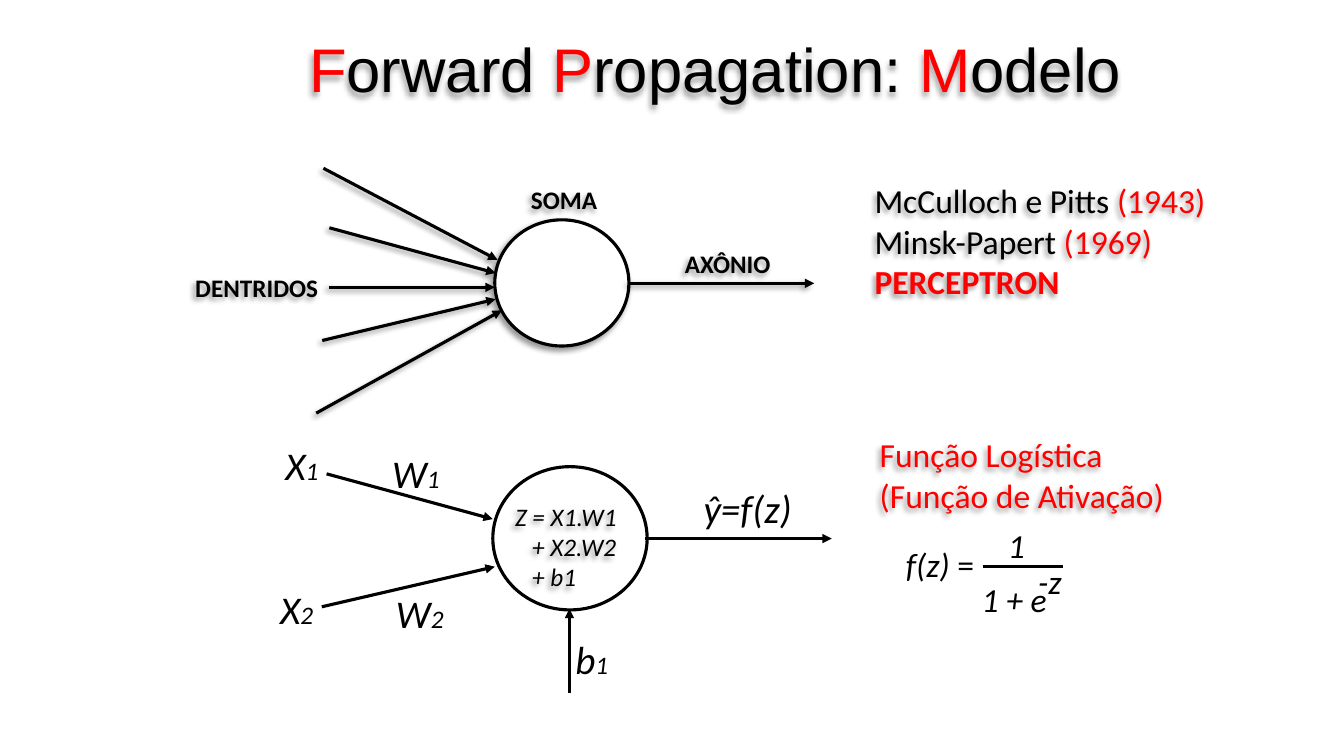
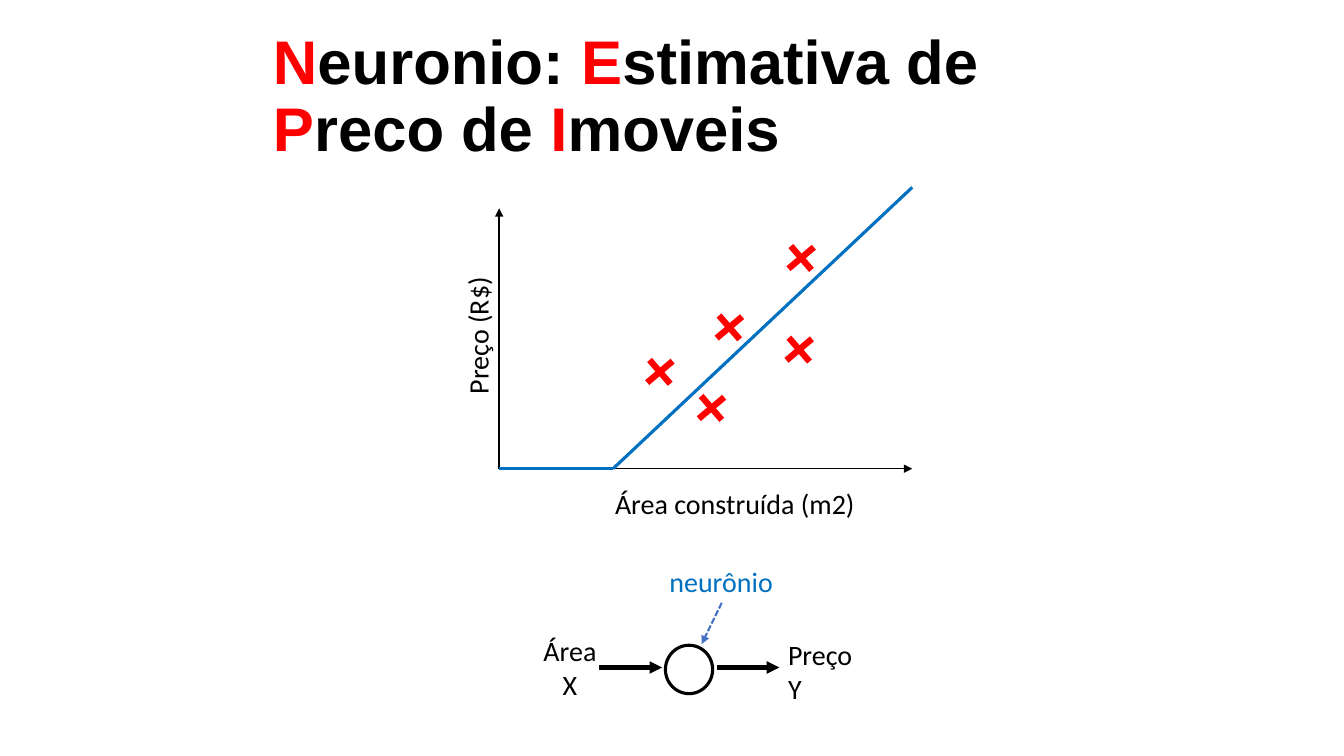
from itertools import groupby

from lxml import etree
from pptx import Presentation
from pptx.dml.color import RGBColor
from pptx.enum.dml import MSO_LINE
from pptx.enum.shapes import MSO_CONNECTOR, MSO_SHAPE
from pptx.enum.text import MSO_ANCHOR, PP_ALIGN
from pptx.oxml.ns import qn
from pptx.util import Cm, Pt

BLACK = RGBColor(0x00, 0x00, 0x00)
WHITE = RGBColor(0xFF, 0xFF, 0xFF)
RED = RGBColor(0xFF, 0x00, 0x00)
BLUE = RGBColor(0x00, 0x70, 0xC0)
POINTER_BLUE = RGBColor(0x44, 0x72, 0xC4)
TITLE_FONT, BODY_FONT = "Arial", "Calibri"
STRAIGHT, OVAL = MSO_CONNECTOR.STRAIGHT, MSO_SHAPE.OVAL
MIDDLE, CENTER, LEFT = MSO_ANCHOR.MIDDLE, PP_ALIGN.CENTER, PP_ALIGN.LEFT
DASH = MSO_LINE.SQUARE_DOT


def set_effects(shape, shadow):
    """Give a shape a soft shadow, or an empty effect list."""
    effects = etree.SubElement(shape._element.spPr, qn("a:effectLst"))
    if shadow:
        outer = etree.SubElement(effects, qn("a:outerShdw"), blurRad=str(Pt(4)),
                                 dist=str(Pt(3)), dir=str(135 * 60000),
                                 algn="tr", rotWithShape="0")
        color = etree.SubElement(outer, qn("a:srgbClr"), val=str(BLACK))
        etree.SubElement(color, qn("a:alpha"), val="40000")


def style(r, size, color=BLACK, bold=False, italic=False, font=BODY_FONT):
    """Format one run."""
    r.font.name, r.font.size = font, Pt(size)
    r.font.bold, r.font.italic = bold, italic
    r.font.color.rgb = color


def add_run(p, text, size, **look):
    """Append a formatted run to a paragraph."""
    r = p.add_run()
    r.text = text
    style(r, size, **look)


def add_text(s, x, y, w, h, text, size, align=LEFT, shadow=False, **look):
    """Add a text box, one paragraph per line, and return it."""
    tb = s.shapes.add_textbox(Cm(x), Cm(y), Cm(w), Cm(h))
    set_effects(tb, shadow)
    tf = tb.text_frame
    tf.word_wrap = False
    tf.text = text
    for p in tf.paragraphs:
        p.alignment = align
        for r in p.runs:
            style(r, size, **look)
    return tb


def add_line(s, x1, y1, x2, y2, width=2.25, color=BLACK, arrow=True,
             shadow=False, dash=None):
    """Add a straight line, with an arrowhead at its end by default."""
    line = s.shapes.add_connector(STRAIGHT, Cm(x1), Cm(y1), Cm(x2), Cm(y2))
    line.line.width = Pt(width)
    line.line.color.rgb = color
    if dash:
        line.line.dash_style = dash
    if arrow:
        etree.SubElement(line.line._get_or_add_ln(), qn("a:tailEnd"), type="triangle")
    set_effects(line, shadow)


def add_circle(s, x, y, w, h, shadow=False):
    """Add the outlined body of a neuron."""
    sp = s.shapes.add_shape(OVAL, Cm(x), Cm(y), Cm(w), Cm(h))
    sp.fill.solid()
    sp.fill.fore_color.rgb = WHITE
    sp.line.color.rgb = BLACK
    sp.line.width = Pt(2.25)
    set_effects(sp, shadow)


def add_title(s, x, y, w, h, text, bold=False, shadow=False):
    """Add a title whose capital letters are red."""
    tb = s.shapes.add_textbox(Cm(x), Cm(y), Cm(w), Cm(h))
    set_effects(tb, shadow)
    tf = tb.text_frame
    tf.word_wrap = True
    tf.vertical_anchor = MIDDLE
    for i, row in enumerate(text.split("\n")):
        p = tf.add_paragraph() if i else tf.paragraphs[0]
        p.line_spacing = 0.9
        for capital, letters in groupby(row, str.isupper):
            add_run(p, "".join(letters), 44, color=RED if capital else BLACK,
                    bold=bold, font=TITLE_FONT)


def biological_neuron(s, x, y):
    """Draw dendrites, soma and axon from a top-left corner."""
    add_circle(s, x + 7.8, y + 1.3, 3.38, 3.18, shadow=True)
    for x1, y1, x2, y2 in ((3.48, 0, 7.87, 2.31), (3.63, 1.5, 7.82, 2.64),
                           (3.61, 3, 7.8, 3), (3.45, 4.34, 7.82, 3.3),
                           (3.3, 6.17, 7.98, 3.58), (11.18, 2.9, 15.85, 2.9)):
        add_line(s, x + x1, y + y1, x + x2, y + y2, shadow=True)
    for dx, dy, w, label in ((0, 2.49, 3.63, "DENTRIDOS"),
                             (8.46, 0.28, 2.18, "SOMA"),
                             (12.34, 1.9, 2.69, "AXÔNIO")):
        add_text(s, x + dx, y + dy, w, 1.02, label, 18, bold=True, shadow=True)


def artificial_neuron(s, x, y):
    """Draw the weighted inputs, sum, bias and output from a top-left corner."""
    add_circle(s, x + 5.61, y + 0.76, 3.89, 3.61)
    for x1, y1, x2, y2 in ((1.42, 0.94, 5.61, 2.08), (1.3, 4.29, 5.66, 3.28),
                           (9.45, 2.57, 14.15, 2.57), (7.54, 6.45, 7.54, 4.34)):
        add_line(s, x + x1, y + y1, x + x2, y + y2)
    for dx, dy, w, symbol, index in ((0.13, 0, 1.4, "X", "1"),
                                     (0, 3.63, 1.35, "X", "2"),
                                     (2.82, 0.2, 1.73, "W", "1"),
                                     (2.92, 3.73, 1.73, "W", "2"),
                                     (7.44, 4.88, 1.37, "b", "1")):
        tb = add_text(s, x + dx, y + dy, w, 1.45, symbol, 28, italic=True)
        add_run(tb.text_frame.paragraphs[0], index, 18, italic=True)
    add_text(s, x + 10.67, y + 1.09, 2.77, 1.45, "ŷ=f(z)", 28, italic=True)
    tb = add_text(s, x + 5.92, y + 1.5, 3.18, 2.57, "Z = X1.W1\n+ X2.W2\n+ b1", 18,
                  italic=True, shadow=True)
    for p in tb.text_frame.paragraphs[1:]:
        p._p.get_or_add_pPr().set("marL", str(Cm(0.43)))


def logistic_formula(s, x, y):
    """Set the logistic function as a fraction from a top-left corner."""
    tb = add_text(s, x, y + 0.46, 2.44, 1.27, "f(z) ", 24, italic=True)
    add_run(tb.text_frame.paragraphs[0], "=", 24)
    for dx, dy, w, part in ((2.57, 0, 0.94, "1"), (1.91, 1.35, 2.18, "1 + e"),
                            (3.33, 0.89, 1.12, "-z")):
        add_text(s, x + dx, y + dy, w, 1.27, part, 24, italic=True)
    add_line(s, x + 2.18, y + 1.17, x + 4.22, y + 1.17, arrow=False)


def history(s, x, y, w, h):
    """List the authors with their years in red."""
    tb = add_text(s, x, y, w, h, "McCulloch e Pitts \nMinsk-Papert\nPERCEPTRON", 24,
                  shadow=True)
    tb.text_frame.word_wrap = True
    pitts, papert, perceptron = tb.text_frame.paragraphs
    add_run(pitts, "(1943)", 24, color=RED)
    add_run(papert, " (1969)", 24, color=RED)
    style(perceptron.runs[0], 24, color=RED, bold=True)


def price_plot(s, x, y, w, h):
    """Sketch price against area with a hinged fit inside a box."""
    base, hinge = y + h, x + 2.87
    add_line(s, x, base, x, y + 0.53, width=1)
    add_line(s, x, base, x + w, base, width=1)
    for dx, dy in ((4.05, 4.65), (5.8, 3.53), (7.61, 1.78), (5.35, 5.56), (7.56, 4.09)):
        cx, cy = x + dx, y + dy
        for ax, ay in ((0.26, 0.3), (0.32, -0.27)):
            add_line(s, cx - ax, cy - ay, cx + ax, cy + ay, width=4.5, color=RED,
                     arrow=False)
    add_line(s, x, base, hinge, base, color=BLUE, arrow=False)
    add_line(s, hinge, base, x + w, y, color=BLUE, arrow=False)
    add_text(s, x - 2.29, y + 3.15, 3.51, 1.12, "Preço (R$)", 20).rotation = 270
    add_text(s, x + 2.67, base + 0.33, 6.6, 1.12, "Área construída (m2)", 20)


def price_neuron(s, x, y):
    """Draw the single neuron from area to price from a top-left corner."""
    add_circle(s, x + 3.33, y + 2.16, 1.19, 1.22)
    for x1, x2 in ((1.65, 3.25), (4.62, 6.2)):
        add_line(s, x + x1, y + 2.72, x + x2, y + 2.72, width=3)
    add_text(s, x, y + 1.75, 1.85, 1.96, "Área\nX", 20, align=CENTER)
    add_text(s, x + 6.17, y + 1.85, 2.16, 1.96, "Preço\nY", 20)
    add_text(s, x + 3.18, y, 3.15, 1.12, "neurônio", 20, color=BLUE)
    add_line(s, x + 4.75, y + 1.09, x + 4.24, y + 2.13, width=1.5,
             color=POINTER_BLUE, dash=DASH)


def model_slide(s):
    """Build the slide on the forward propagation model."""
    add_title(s, 7.54, 0, 26.3, 3.68, "Forward Propagation: Modelo", shadow=True)
    biological_neuron(s, 4.67, 4.24)
    artificial_neuron(s, 6.81, 11)
    logistic_formula(s, 22.58, 13.11)
    add_text(s, 21.92, 10.82, 7.75, 2.31, "Função Logística\n(Função de Ativação)", 24,
             color=RED, shadow=True)
    history(s, 21.79, 4.42, 9.35, 3.33)


def price_slide(s):
    """Build the slide on estimating house prices."""
    add_title(s, 6.63, 0, 27.2, 4.95, "Neuronio: Estimativa de\nPreco de Imoveis",
              bold=True)
    price_plot(s, 12.58, 4.72, 10.41, 7.09)
    price_neuron(s, 13.44, 14.1)


def main():
    """Build and save the presentation."""
    prs = Presentation()
    prs.slide_width, prs.slide_height = Cm(33.87), Cm(19.05)
    for build in (model_slide, price_slide):
        build(prs.slides.add_slide(prs.slide_layouts[6]))
    prs.save("out.pptx")


if __name__ == "__main__":
    main()
